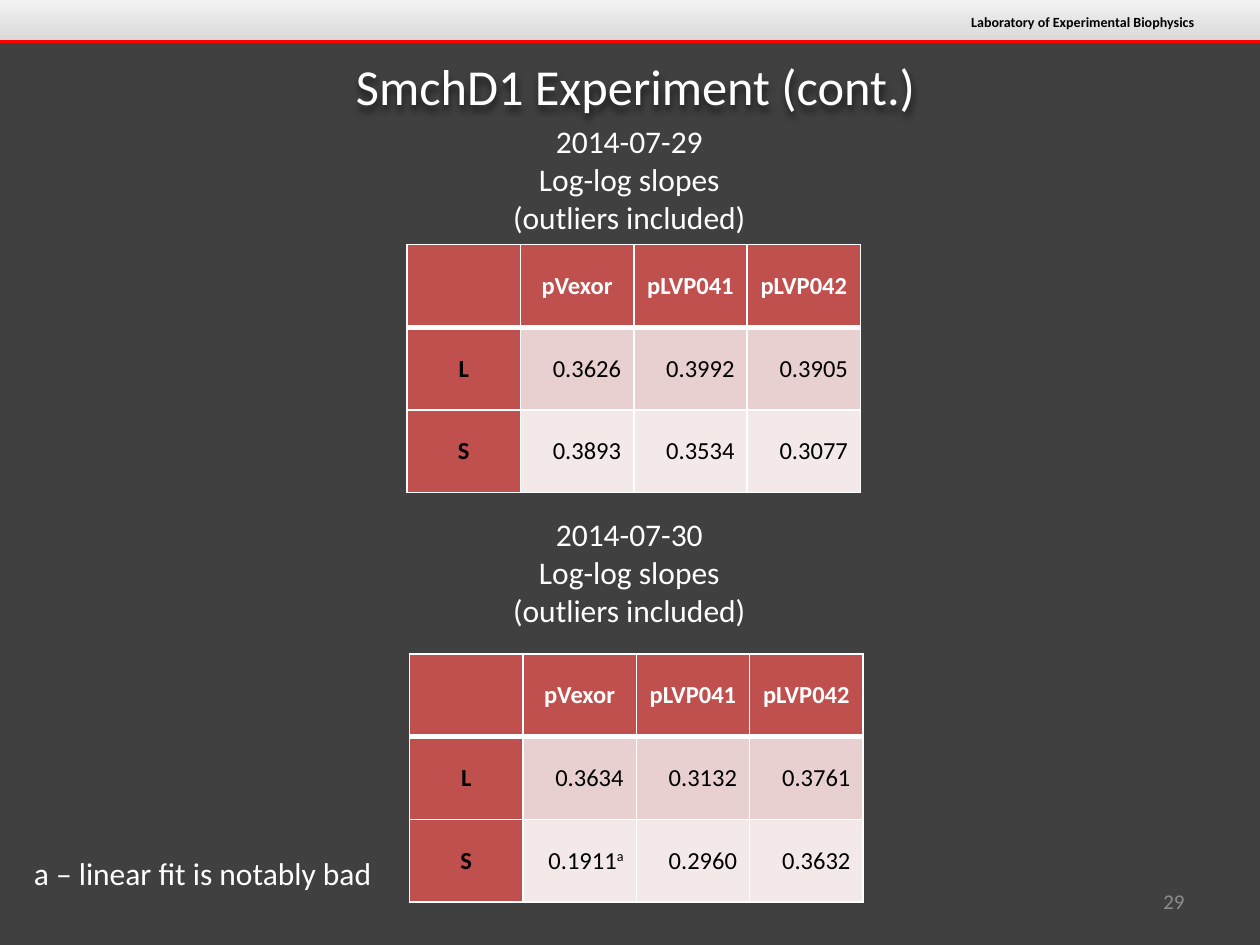
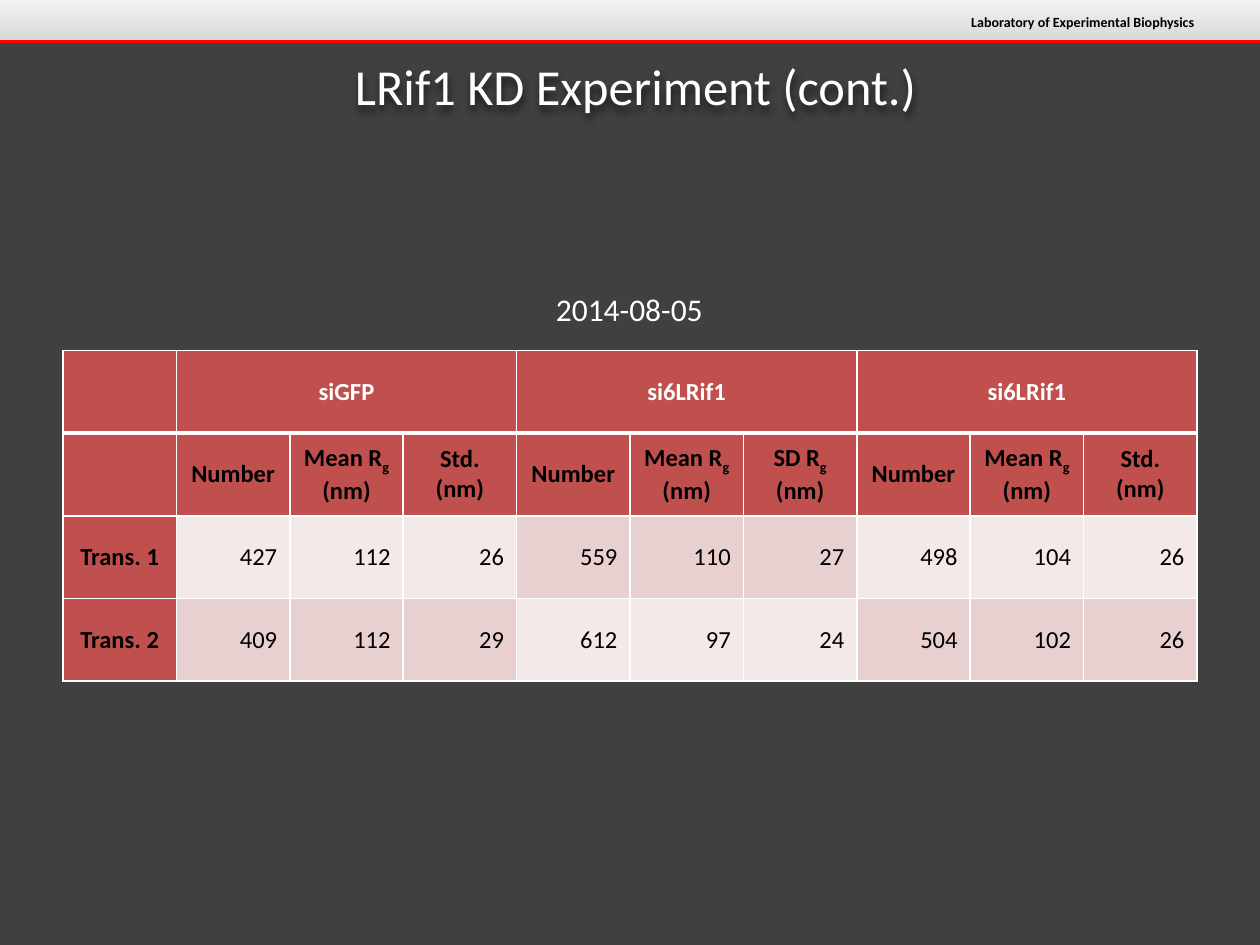
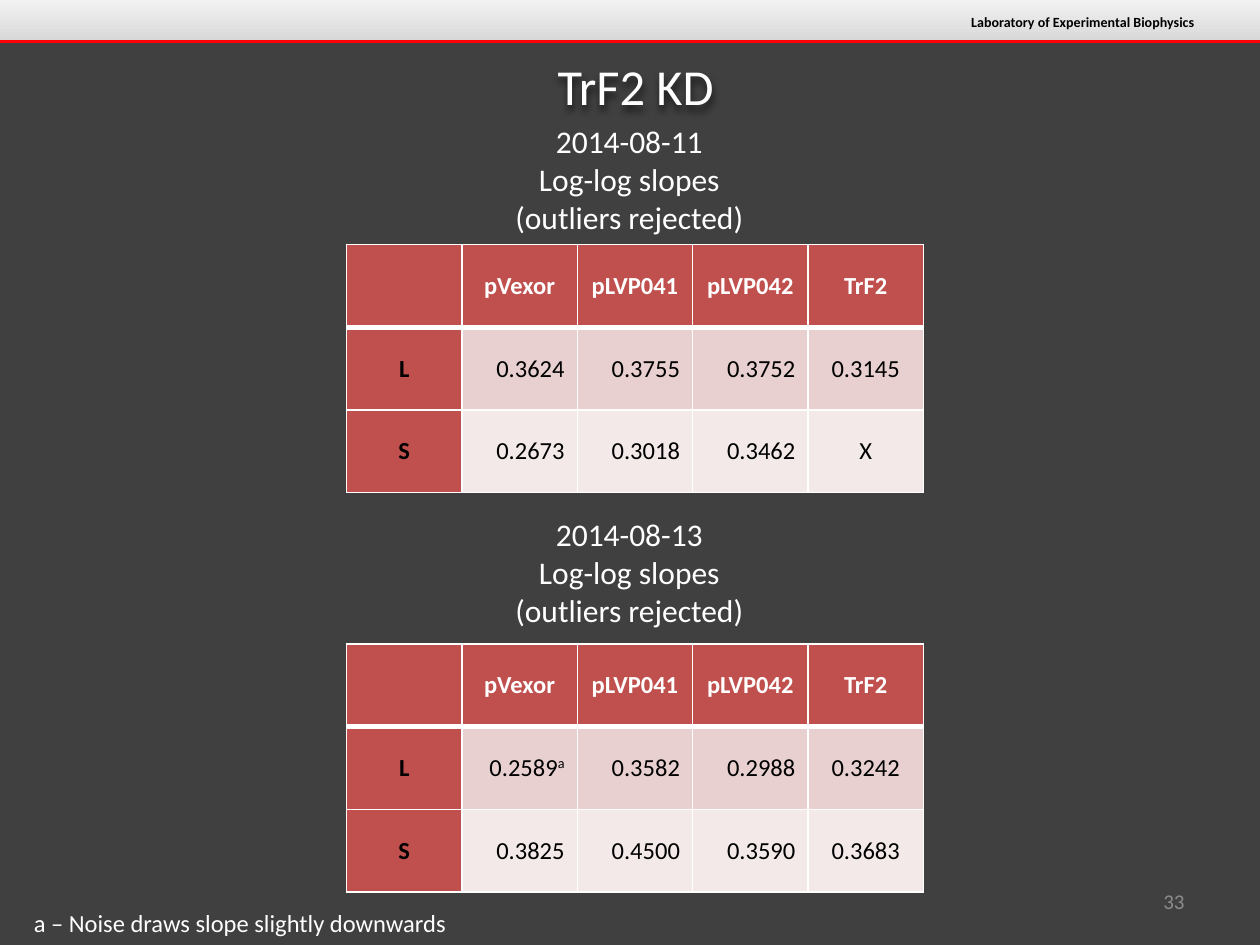
"""Build three slides of knockdown tables on a dark ground under a lab band."""
from dataclasses import dataclass
from lxml.etree import SubElement
from pptx import Presentation
from pptx.dml.color import RGBColor
from pptx.enum.shapes import MSO_CONNECTOR, MSO_SHAPE
from pptx.enum.text import MSO_ANCHOR, PP_ALIGN
from pptx.oxml import parse_xml
from pptx.oxml.ns import nsdecls, qn
from pptx.util import Inches, Pt


@dataclass(frozen=True)
class Theme:
    font: str = "Calibri"
    ground: str = "404040"
    white: str = "FFFFFF"
    black: str = "000000"
    grey: str = "8C8C8C"
    line: str = "FF0000"
    head: str = "C0504D"
    tints: tuple = ("F4E9E9", "E8D0D0")
    band: tuple = ("D8D8D8", "F2F2F2")
    title: float = 28.8
    body: int = 18
    cell: int = 14
    page: int = 12
    lab: int = 8
    thin: int = 1
    rule: int = 2
    thick: int = 3


theme = Theme()
left, mid, right = PP_ALIGN.LEFT, PP_ALIGN.CENTER, PP_ALIGN.RIGHT
deck = Presentation()
deck.slide_width, deck.slide_height = Inches(10), Inches(7.5)
col, row = deck.slide_width / 100, deck.slide_height / 75


def place(x, y, wide, high):
    return [int(n) for n in (x * col, y * row, wide * col, high * row)]


def write(frame, text, size, color, align, bold=False):
    for i, line in enumerate(text.split("\n")):
        para = frame.paragraphs[0] if i == 0 else frame.add_paragraph()
        para.alignment = align
        mark = "^" if "^" in line else "_"
        base, _, note = line.partition(mark)
        for part, shift in ((base, 0), (note, 30000 if mark == "^" else -25000)):
            if part:
                run = para.add_run()
                run.text = part
                run.font.name, run.font.size = theme.font, Pt(size)
                run.font.bold = bold
                run.font.color.rgb = RGBColor.from_string(color)
                if shift:
                    run.font._element.set("baseline", str(shift))


slope = ["", "pVexor", "pLVP041", "pLVP042"]
mean, std = "Mean R_g\n(nm)", "Std.\n(nm)"
date = (38.7, 22.5)
slides = [
    ("SmchD1 Experiment (cont.)",
     [((71.7, 69.5, 23.3, 4), "29", theme.page, theme.grey, right),
      ((date[0], 9.2, date[1], 10.1), "2014-07-29\nLog-log slopes (outliers included)",
       theme.body, theme.white, mid),
      ((date[0], 40.4, date[1], 10.1), "2014-07-30\nLog-log slopes\n(outliers included)",
       theme.body, theme.white, mid),
      ((1.7, 67.3, 29.2, 4), "a – linear fit is notably bad", theme.body, theme.white, left)],
     [(32.3, 19.4, 36, 1, 3,
       [slope, ["L", "0.3626", "0.3992", "0.3905"], ["S", "0.3893", "0.3534", "0.3077"]]),
      (32.5, 51.9, 36, 1, 3,
       [slope, ["L", "0.3634", "0.3132", "0.3761"], ["S", "0.1911^a", "0.2960", "0.3632"]])]),
    ("LRif1 KD Experiment (cont.)",
     [((date[0], 22.5, date[1], 4.2), "2014-08-05", theme.body, theme.white, mid)],
     [(5, 27.8, 90, 2, 3,
       [["", "siGFP", "", "", "si6LRif1", "", "", "si6LRif1", "", ""],
        ["", "Number", mean, std, "Number", mean, "SD R_g\n(nm)", "Number", mean, std],
        ["Trans. 1", "427", "112", "26", "559", "110", "27", "498", "104", "26"],
        ["Trans. 2", "409", "112", "29", "612", "97", "24", "504", "102", "26"]])]),
    ("TrF2 KD",
     [((71.7, 69.5, 23.3, 4), "33", theme.page, theme.grey, right),
      ((date[0], 9.2, date[1], 10.1), "2014-08-11\nLog-log slopes (outliers rejected)",
       theme.body, theme.white, mid),
      ((date[0], 40.4, date[1], 10.1), "2014-08-13\nLog-log slopes\n(outliers rejected)",
       theme.body, theme.white, mid),
      ((1.7, 71.6, 35, 3.4), "a – Noise draws slope slightly downwards",
       theme.cell, theme.white, left)],
     [(27.5, 19.4, 45.8, 1, 4,
       [slope + ["TrF2"], ["L", "0.3624", "0.3755", "0.3752", "0.3145"],
        ["S", "0.2673", "0.3018", "0.3462", "X"]]),
      (27.5, 51.1, 45.8, 1, 4,
       [slope + ["TrF2"], ["L", "0.2589^a", "0.3582", "0.2988", "0.3242"],
        ["S", "0.3825", "0.4500", "0.3590", "0.3683"]])]),
]

for title, notes, tables in slides:
    slide = deck.slides.add_slide(deck.slide_layouts[6])
    shapes = slide.shapes
    slide.background.fill.solid()
    slide.background.fill.fore_color.rgb = RGBColor.from_string(theme.ground)

    band = shapes.add_shape(MSO_SHAPE.RECTANGLE, *place(0, 0, 100, 3.3))
    band.shadow.inherit = False
    band.line.fill.background()
    band.fill.gradient()
    band.fill.gradient_angle = 90
    for stop, tone, spot in zip(band.fill.gradient_stops, theme.band, (0, 1)):
        stop.color.rgb, stop.position = RGBColor.from_string(tone), spot
    rule = shapes.add_connector(MSO_CONNECTOR.STRAIGHT, *place(0, 3.3, 100, 3.3))
    rule.line.fill.solid()
    rule.line.fill.fore_color.rgb = RGBColor.from_string(theme.line)
    rule.line.width = Pt(theme.rule)
    SubElement(rule._element.spPr, qn("a:effectLst"))

    texts = [((75.6, 0.6, 20.2, 2.4), "Laboratory of Experimental Biophysics",
              theme.lab, theme.black, right, True),
             ((1.7, 3.65, 97.5, 6.2), title, theme.title, theme.white, mid)] + notes
    for spot, text, *style in texts:
        box = shapes.add_textbox(*place(*spot))
        frame = box.text_frame
        frame.word_wrap = True
        if style[0] in (theme.title, theme.page):
            frame.vertical_anchor = MSO_ANCHOR.MIDDLE
        write(frame, text, *style)
        if text == title:
            box._element.spPr.append(parse_xml(
                f'<a:effectLst {nsdecls("a")}><a:outerShdw blurRad="50800" dist="38100" '
                f'dir="5400000"><a:srgbClr val="{theme.black}"><a:alpha val="60000"/>'
                '</a:srgbClr></a:outerShdw></a:effectLst>'))

    for x, y, wide, heads, span, rows in tables:
        count = len(rows[0])
        grid = shapes.add_table(len(rows), count, *place(x, y, wide, 6.57 * len(rows))).table
        for c in range(count):
            grid.columns[c].width = int(wide * col / count)
        for r, cells in enumerate(rows):
            grid.rows[r].height = int(6.57 * row)
            for c, text in enumerate(cells):
                cell = grid.cell(r, c)
                label = r < heads or c == 0
                tint = theme.tints[(r + (c - 1) // span) % 2]
                cell.fill.solid()
                cell.fill.fore_color.rgb = RGBColor.from_string(theme.head if label else tint)
                cell.vertical_anchor = MSO_ANCHOR.MIDDLE
                align = mid if label or rows[0][c] == "TrF2" else right
                color = theme.white if r == 0 else theme.black
                if text:
                    write(cell.text_frame, text, theme.cell, color, align, label)
                for i, side in enumerate("LRTB"):
                    edge = (r, side) in ((0, "B"), (1, "T"))
                    width = Pt(theme.thick if edge else theme.thin)
                    cell._tc.get_or_add_tcPr().insert(i, parse_xml(
                        f'<a:ln{side} {nsdecls("a")} w="{width}"><a:solidFill>'
                        f'<a:srgbClr val="{theme.white}"/></a:solidFill></a:ln{side}>'))
        if heads == 2:
            for c in range(1, count, span):
                grid.cell(0, c).merge(grid.cell(0, c + span - 1))

deck.save("out.pptx")
